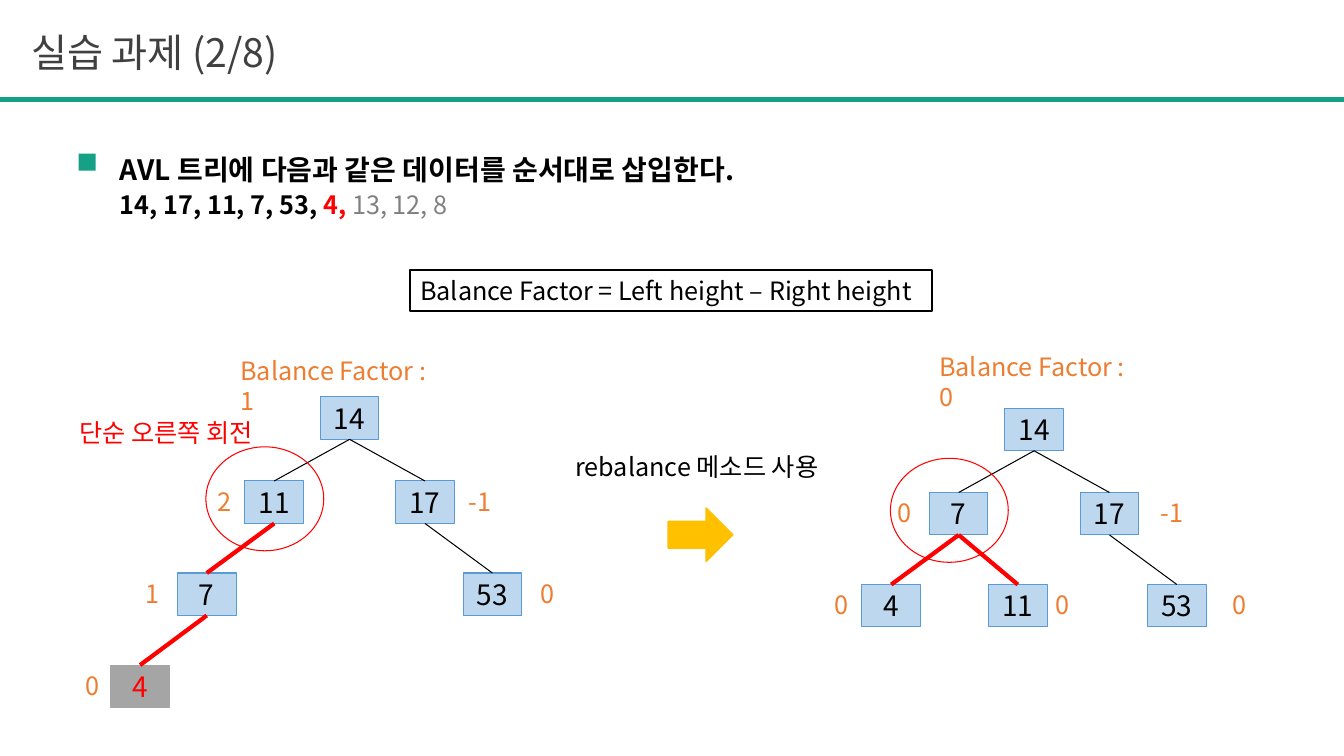
from pptx import Presentation
from pptx.dml.color import RGBColor
from pptx.enum.shapes import MSO_CONNECTOR, MSO_SHAPE
from pptx.enum.text import MSO_ANCHOR, MSO_AUTO_SIZE, PP_ALIGN
from pptx.oxml.ns import qn
from pptx.util import Cm, Pt
from lxml.etree import SubElement

FONT = "Noto Sans CJK KR"
TEAL, RED, ORANGE, BLACK = "16A085", "FF0000", "ED7D31", "000000"
NODE_W, NODE_H, LINE_H = 1.48, 1.07, 1.02
LEVELS = (0, 2.12, 4.44, 6.76)


def paint(form, color):
    """Set a solid colour on a fill, a line or a font."""
    if hasattr(form, "solid"):
        form.solid()
        form.fore_color.rgb = RGBColor.from_string(color)
    else:
        form.color.rgb = RGBColor.from_string(color)


def write(para, text, size=18, color=BLACK, bold=False, align=PP_ALIGN.LEFT):
    """Add a formatted run to a paragraph."""
    para.alignment = align
    run = para.add_run()
    run.text = text
    run.font.size, run.font.bold, run.font.name = Pt(size), bold, FONT
    paint(run.font, color)
    SubElement(run.font._element, qn("a:ea")).set("typeface", FONT)


def place(shape, x, y, w, h):
    """Move and size a shape."""
    shape.left, shape.top, shape.width, shape.height = map(Cm, (x, y, w, h))


def label(slide, text, x, y, w, **style):
    """Add a one-line text box."""
    frame = slide.shapes.add_textbox(Cm(x), Cm(y), Cm(w), Cm(LINE_H)).text_frame
    frame.word_wrap = True
    write(frame.paragraphs[0], text, **style)


def draw(slide, kind, x, y, w, h, fill=None, line=None, width=0.75):
    """Add a preset shape without a shadow."""
    shape = slide.shapes.add_shape(kind, Cm(x), Cm(y), Cm(w), Cm(h))
    shape.shadow.inherit = False
    if fill:
        paint(shape.fill, fill)
    else:
        shape.fill.background()
    if line:
        paint(shape.line, line)
        shape.line.width = Pt(width)
    else:
        shape.line.fill.background()
    return shape


def link(slide, x1, y1, x2, y2, color=BLACK, width=0.75):
    """Add a straight line without a shadow."""
    line = slide.shapes.add_connector(
        MSO_CONNECTOR.STRAIGHT, Cm(x1), Cm(y1), Cm(x2), Cm(y2))
    paint(line.line, color)
    line.line.width = Pt(width)
    SubElement(line._element.spPr, qn("a:effectLst"))
    return line


def header(slide, x, y, w):
    """Place the title and the rule below it."""
    title = slide.shapes.title
    place(title, x + 0.53, y + 0.58, 25.78, 1.45)
    frame = title.text_frame
    frame.auto_size = MSO_AUTO_SIZE.NONE
    frame.vertical_anchor = MSO_ANCHOR.MIDDLE
    write(frame.paragraphs[0], "실습 과제 (2/8)", size=28, color="404040")
    link(slide, x, y + 2.51, x + w, y + 2.51, TEAL, 3)


def task(slide, x, y):
    """Place the task, its data and its square marker."""
    body = slide.placeholders[1]
    place(body, x + 0.79, y, 17.78, 3.2)
    frame = body.text_frame
    frame.auto_size = MSO_AUTO_SIZE.NONE
    frame.vertical_anchor = MSO_ANCHOR.TOP
    lead, data = frame.paragraphs[0], frame.add_paragraph()
    for para, gap in ((lead, 0), (data, 2)):
        para.space_before = Pt(gap)
        props = para._p.get_or_add_pPr()
        props.set("marL", "0")
        props.set("indent", "0")
        SubElement(props, qn("a:buNone"))
    lead.line_spacing = 2.0
    write(lead, "AVL 트리에 다음과 같은 데이터를 순서대로 삽입한다.", size=20, bold=True)
    write(data, "14, 17, 11, 7, 53,", bold=True)
    write(data, " 4, ", color=RED, bold=True)
    write(data, "13, 12, 8", color="808080")
    draw(slide, MSO_SHAPE.RECTANGLE, x, y + 1, 0.43, 0.43, TEAL)


def rule(slide, x, y):
    """Place the framed formula."""
    box = draw(slide, MSO_SHAPE.RECTANGLE, x, y, 13.16, LINE_H, line=BLACK, width=1.5)
    write(box.text_frame.paragraphs[0], "Balance Factor = Left height – Right height")


def step(slide, x, y):
    """Place the arrow between the trees and its caption."""
    label(slide, "rebalance 메소드 사용", x, y, 6.93)
    draw(slide, MSO_SHAPE.RIGHT_ARROW, x + 2.59, y + 1.55, 1.63, 1.35,
         "FFC000", "FFC000", 1)


def tree(slide, x, y, head, nodes, hot, fresh=None):
    """Draw a tree from its root's corner, with factors and a ring."""
    text, dx, dy = head
    label(slide, text, x + dx, y + dy, 5.66, color=ORANGE)
    made = {}
    for key, root, dx, level, factor, gap in nodes:
        left, top = x + dx, y + LEVELS[level]
        new = key == fresh
        fill, edge, ink = (("A5A5A5", "A5A5A5", RED) if new
                           else ("BDD7EE", "5B9BD5", BLACK))
        box = draw(slide, MSO_SHAPE.RECTANGLE, left, top, NODE_W, NODE_H, fill, edge)
        box.text_frame.vertical_anchor = MSO_ANCHOR.MIDDLE
        write(box.text_frame.paragraphs[0], str(key), size=20, color=ink,
              align=PP_ALIGN.CENTER)
        made[key] = box
        if root:
            style = (RED, 3) if key in hot else (BLACK, 0.75)
            line = link(slide, 0, 0, 1, 1, *style)
            line.begin_connect(made[root], 2)
            line.end_connect(box, 0)
            label(slide, factor, left + gap, top,
                  1.12 if len(factor) > 1 else 0.86, color=ORANGE)
    draw(slide, MSO_SHAPE.OVAL, x - 2.88, y + 1.26, 2.97, 2.62, line=RED)


def main():
    """Build the slide and save it."""
    deck = Presentation()
    deck.slide_width, deck.slide_height = Cm(33.87), Cm(19.05)
    slide = deck.slides.add_slide(deck.slide_layouts[1])
    header(slide, 0, 0, 33.87)
    task(slide, 1.98, 2.87)
    rule(slide, 10.34, 6.81)
    before = [
        (14, None, 0, 0, "", 0),
        (11, 14, -1.9, 1, "2", -0.94),
        (17, 14, 1.9, 1, "-1", 1.6),
        (7, 11, -3.6, 2, "1", -1.04),
        (53, 17, 3.6, 2, "0", 1.7),
        (4, 7, -5.28, 3, "0", -0.89),
    ]
    after = [
        (14, None, 0, 0, "", 0),
        (7, 14, -1.9, 1, "0", -1.04),
        (17, 14, 1.9, 1, "-1", 1.78),
        (4, 7, -3.6, 2, "0", -0.94),
        (11, 7, -0.41, 2, "0", 1.45),
        (53, 17, 3.6, 2, "0", 1.88),
    ]
    tree(slide, 8.07, 10, ("Balance Factor : 1", -2.26, -1.17), before, {7, 4}, 4)
    label(slide, "단순 오른쪽 회전", 1.75, 10.39, 5.46, color=RED)
    step(slide, 14.25, 11.25)
    tree(slide, 25.32, 10.29, ("Balance Factor : 0", -1.9, -1.57), after, {4, 11})
    deck.save("out.pptx")


main()
